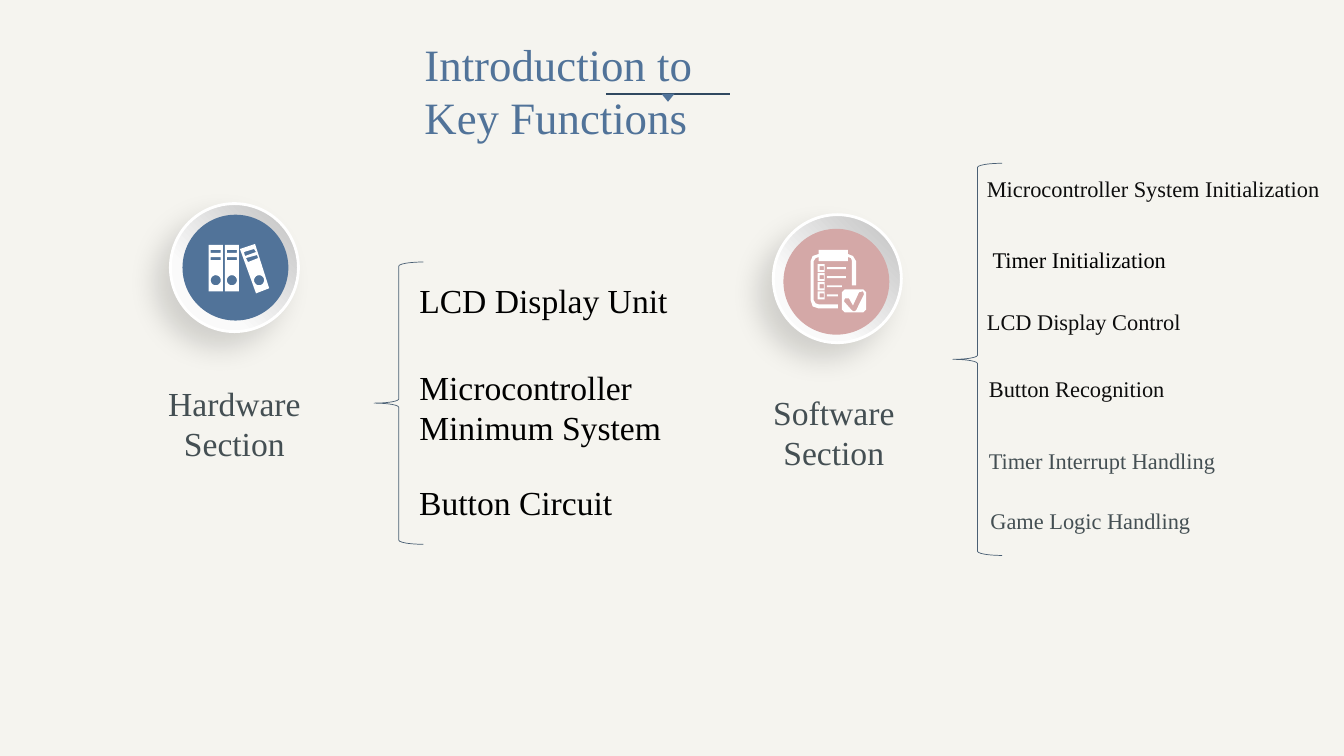
import math
from dataclasses import dataclass

from lxml import etree
from pptx import Presentation
from pptx import util as u
from pptx.dml.color import RGBColor
from pptx.enum import shapes, text
from pptx.oxml import ns

Point = tuple[float, float]
Contour = list[Point]

FONT = "Times New Roman"
CREAM = RGBColor(0xF5, 0xF4, 0xEF)
BLUE = RGBColor(0x51, 0x73, 0x99)
NAVY = RGBColor(0x30, 0x48, 0x60)
STEEL = RGBColor(0x4A, 0x5F, 0x74)
PINK = RGBColor(0xD4, 0xA8, 0xA7)
SLATE = RGBColor(0x44, 0x4F, 0x53)
INK = RGBColor(0x0D, 0x0D, 0x0D)
BLACK = RGBColor(0, 0, 0)
WHITE = RGBColor(0xFF, 0xFF, 0xFF)
RIM_DARK = RGBColor(0xBF, 0xBF, 0xBF)
RIM_LIGHT = RGBColor(0xFA, 0xFA, 0xFA)

LEFT, CENTER = text.PP_ALIGN.LEFT, text.PP_ALIGN.CENTER
TOP, MIDDLE = text.MSO_ANCHOR.TOP, text.MSO_ANCHOR.MIDDLE


@dataclass(frozen=True)
class Label:
    lines: tuple[str, ...]
    left: float
    top: float
    width: float
    height: float
    size: int
    color: RGBColor
    align: text.PP_ALIGN = LEFT
    anchor: text.MSO_ANCHOR = TOP
    wrap: bool = False


@dataclass(frozen=True)
class Badge:
    rim: Point
    disc: Point
    color: RGBColor
    icon: list[Contour]


def rectangle(left: float, top: float, width: float, height: float) -> Contour:
    right, bottom = left + width, top + height
    return [(left, top), (right, top), (right, bottom), (left, bottom)]


def circle(x: float, y: float, radius: float) -> Contour:
    angles = [math.tau * step / 20 for step in range(20)]
    return [(x + radius * math.cos(a), y + radius * math.sin(a)) for a in angles]


def binder_icon() -> list[Contour]:
    contours = [
        [(2.38, 2.47), (2.53, 2.42), (2.67, 2.86), (2.54, 2.91)],
        [(2.44, 2.56), (2.46, 2.6), (2.56, 2.56), (2.55, 2.53)],
        [(2.42, 2.5), (2.43, 2.54), (2.54, 2.5), (2.52, 2.47)],
        circle(2.57, 2.78, 0.05),
    ]
    for left in (2.07, 2.23):
        contours.append(rectangle(left, 2.43, 0.14, 0.46))
        contours += [rectangle(left + 0.02, top, 0.1, 0.03) for top in (2.48, 2.55)]
        contours.append(circle(left + 0.07, 2.78, 0.05))
    return contours


def checklist_icon() -> list[Contour]:
    board = [
        (8.12, 2.48), (8.41, 2.48), (8.41, 2.52), (8.46, 2.54), (8.49, 2.59),
        (8.49, 2.83), (8.45, 2.83), (8.45, 2.59), (8.44, 2.56), (8.41, 2.55),
        (8.41, 2.59), (8.12, 2.59), (8.12, 2.55), (8.09, 2.56), (8.07, 2.59),
        (8.07, 2.98), (8.09, 3.01), (8.12, 3.02), (8.31, 3.02), (8.31, 3.06),
        (8.12, 3.06), (8.06, 3.04), (8.04, 2.98), (8.04, 2.59), (8.06, 2.54),
        (8.12, 2.52),
    ]
    stamp = [
        (8.38, 2.87), (8.56, 2.87), (8.59, 2.9), (8.59, 3.07),
        (8.56, 3.1), (8.38, 3.1), (8.35, 3.07), (8.35, 2.9),
    ]
    tick = [
        (8.37, 2.99), (8.45, 3.08), (8.47, 3.09), (8.49, 3.08), (8.57, 2.92),
        (8.56, 2.89), (8.52, 2.9), (8.46, 3.03), (8.42, 2.96), (8.38, 2.96),
    ]
    contours = [board, stamp, tick]
    for row, width in enumerate((0.19, 0.19, 0.15, 0.11)):
        top = 2.62 + 0.09 * row
        contours.append(rectangle(8.11, top, 0.07, 0.08))
        contours.append(rectangle(8.13, top + 0.02, 0.04, 0.04))
        contours.append(rectangle(8.2, top + 0.03, width, 0.02))
    return contours


def write_label(box, label: Label) -> None:
    box.left, box.top = u.Inches(label.left), u.Inches(label.top)
    box.width, box.height = u.Inches(label.width), u.Inches(label.height)
    frame = box.text_frame
    frame.word_wrap = label.wrap
    frame.auto_size = text.MSO_AUTO_SIZE.NONE
    frame.vertical_anchor = label.anchor
    for index, line in enumerate(label.lines):
        para = frame.add_paragraph() if index else frame.paragraphs[0]
        para.alignment = label.align
        span = para.add_run()
        span.text = line
        span.font.name = FONT
        span.font.size = u.Pt(label.size)
        span.font.color.rgb = label.color


def add_preset(parent, kind, left: float, top: float, width: float, height: float,
               fill: RGBColor | None = None):
    shape = parent.add_shape(kind, u.Inches(left), u.Inches(top),
                             u.Inches(width), u.Inches(height))
    shape.shadow.inherit = False
    shape.line.fill.background()
    if fill is None:
        shape.fill.background()
    else:
        shape.fill.solid()
        shape.fill.fore_color.rgb = fill
    return shape


def cast_shadow(shape) -> None:
    effects = shape.element.spPr.find(ns.qn("a:effectLst"))
    shadow = etree.SubElement(
        effects, ns.qn("a:outerShdw"), blurRad=str(u.Pt(20)), dist=str(u.Pt(15)),
        dir="8100000", algn="tr", rotWithShape="0")
    color = etree.SubElement(shadow, ns.qn("a:srgbClr"), val=str(BLACK))
    etree.SubElement(color, ns.qn("a:alpha"), val="15000")


def draw_icon(parent, contours: list[Contour]) -> None:
    outlines = [[(u.Inches(x), u.Inches(y)) for x, y in contour] for contour in contours]
    builder = parent.build_freeform(*outlines[0][0])
    for index, outline in enumerate(outlines):
        if index:
            builder.move_to(*outline[0])
        builder.add_line_segments(outline[1:], close=True)
    icon = builder.convert_to_shape()
    icon.shadow.inherit = False
    icon.fill.solid()
    icon.fill.fore_color.rgb = WHITE
    icon.line.fill.background()


def draw_badge(page, badge: Badge) -> None:
    group = page.shapes.add_group_shape().shapes
    rim = add_preset(group, shapes.MSO_SHAPE.OVAL, *badge.rim, 1.27, 1.27)
    rim.fill.gradient()
    rim.fill.gradient_angle = 225
    for stop, position, color in zip(rim.fill.gradient_stops, (0, 0.7), (RIM_DARK, RIM_LIGHT)):
        stop.position = position
        stop.color.rgb = color
    rim.line.color.rgb = WHITE
    rim.line.width = u.Pt(2)
    cast_shadow(rim)
    add_preset(group, shapes.MSO_SHAPE.OVAL, *badge.disc, 1.05, 1.05, badge.color)
    draw_icon(group, badge.icon)


def draw_brace(page, left: float, top: float, height: float) -> None:
    brace = add_preset(page.shapes, shapes.MSO_SHAPE.LEFT_BRACE, left, top, 0.49, height)
    brace.line.color.rgb = STEEL
    brace.line.width = u.Pt(0.5)


def draw_title_rule(page) -> None:
    rule = page.shapes.add_connector(shapes.MSO_CONNECTOR.STRAIGHT, u.Inches(6.01),
                                     u.Inches(0.93), u.Inches(7.24), u.Inches(0.93))
    rule.line.color.rgb = NAVY
    rule.line.width = u.Pt(1.5)
    etree.SubElement(rule.element.spPr, ns.qn("a:effectLst"))
    pointer = add_preset(page.shapes, shapes.MSO_SHAPE.ISOSCELES_TRIANGLE,
                         6.56, 0.93, 0.13, 0.08, BLUE)
    pointer.rotation = 180


def software_item(line: str, left: float, top: float, width: float,
                  color: RGBColor, align: text.PP_ALIGN = LEFT) -> Label:
    return Label((line,), left, top, width, 0.37, 16, color, align, MIDDLE)


TITLE = Label(("Introduction to Key Functions",), 4.11, 0.31, 2.89, 0.64, 32, BLUE, wrap=True)
BADGES = [
    Badge((1.69, 2.02), (1.81, 2.13), BLUE, binder_icon()),
    Badge((7.67, 2.13), (7.77, 2.27), PINK, checklist_icon()),
]
LABELS = [
    Label(("Hardware", "Section"), 1.56, 3.75, 1.53, 0.91, 24, SLATE, CENTER),
    Label(("Software", "Section"), 7.56, 3.84, 1.42, 0.91, 24, SLATE, CENTER),
    Label(("LCD Display Unit",), 4.06, 2.73, 2.69, 0.5, 24, BLACK),
    Label(("Microcontroller Minimum System",), 4.06, 3.59, 2.69, 0.91, 24, BLACK, wrap=True),
    Label(("Button Circuit",), 4.06, 4.73, 2.13, 0.5, 24, BLACK),
    software_item("Microcontroller System Initialization", 9.69, 1.69, 3.56, INK),
    software_item("Timer Initialization", 9.73, 2.39, 1.95, BLACK, CENTER),
    software_item("LCD Display Control", 9.69, 3.01, 2.15, INK),
    software_item("Button Recognition", 9.71, 3.67, 1.97, INK),
    software_item("Timer Interrupt Handling", 9.69, 4.38, 2.48, SLATE, CENTER),
    software_item("Game Logic Handling", 9.71, 4.98, 2.21, SLATE, CENTER),
]


def main() -> None:
    deck = Presentation()
    deck.slide_width, deck.slide_height = u.Inches(13.33), u.Inches(7.5)
    page = deck.slides.add_slide(deck.slide_layouts[5])
    page.background.fill.solid()
    page.background.fill.fore_color.rgb = CREAM
    draw_title_rule(page)
    for badge in BADGES:
        draw_badge(page, badge)
    title = page.shapes.title
    write_label(title, TITLE)
    title.element.getparent().append(title.element)
    draw_brace(page, 3.71, 2.6, 2.8)
    draw_brace(page, 9.45, 1.62, 3.89)
    for label in LABELS:
        write_label(page.shapes.add_textbox(0, 0, 0, 0), label)
    deck.save("out.pptx")


if __name__ == "__main__":
    main()
